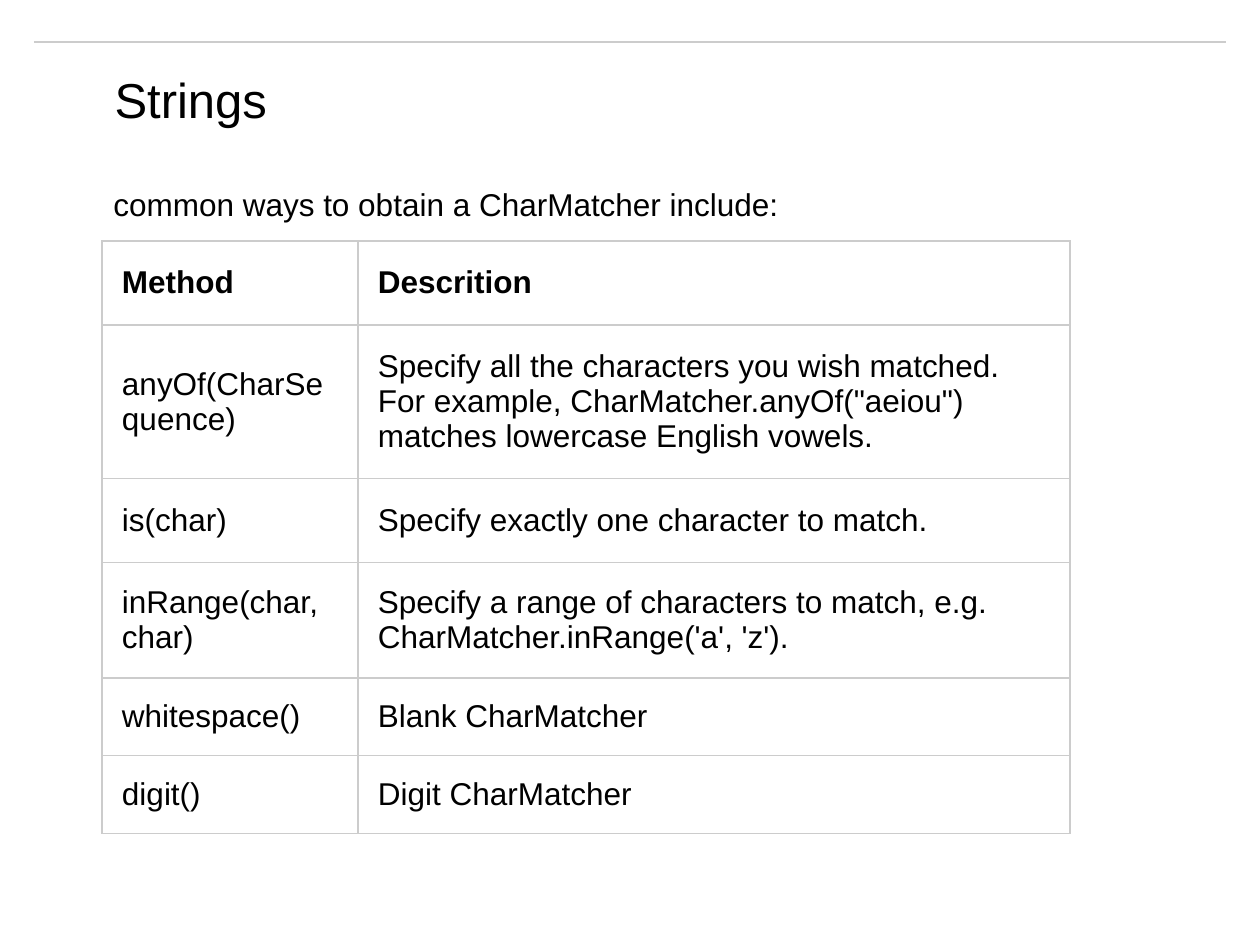
"""Build the Strings slide with its table of CharMatcher methods."""
from lxml import etree
from pptx import Presentation
from pptx.dml.color import RGBColor
from pptx.enum.shapes import MSO_CONNECTOR
from pptx.enum.text import MSO_ANCHOR, MSO_AUTO_SIZE, PP_ALIGN
from pptx.oxml import parse_xml
from pptx.oxml.ns import nsdecls, qn
from pptx.util import Emu, Pt

STRAIGHT = MSO_CONNECTOR.STRAIGHT
MIDDLE, LEFT = MSO_ANCHOR.MIDDLE, PP_ALIGN.LEFT
NO_FIT = MSO_AUTO_SIZE.NONE
BLACK = RGBColor(0x00, 0x00, 0x00)
GRAY = RGBColor(0xCC, 0xCC, 0xCC)
FONT = "Arial"
LINE_WIDTH = Pt(0.75)
CELL_MARGIN = 20
COLUMN_WIDTHS = [256, 712]
ROW_HEIGHTS = [84, 153, 84, 115, 77, 77]
ROWS = [
    ("Method", "Descrition"),
    ("anyOf(CharSequence)",
     "Specify all the characters you wish matched. For example, "
     'CharMatcher.anyOf("aeiou") matches lowercase English vowels.'),
    ("is(char)", "Specify exactly one character to match."),
    ("inRange(char, char)",
     "Specify a range of characters to match, e.g. "
     "CharMatcher.inRange('a', 'z')."),
    ("whitespace()", "Blank CharMatcher"),
    ("digit()", "Digit CharMatcher"),
]


def px(n):
    """Turn pixels at 126 to the inch into EMU."""
    return Emu(round(n * 914400 / 126))


def set_text(tf, text, size, bold=False):
    """Write one left-aligned paragraph."""
    p = tf.paragraphs[0]
    p.text = text
    p.alignment = LEFT
    p.font.name = FONT
    p.font.size = Pt(size)
    p.font.bold = bold
    p.font.color.rgb = BLACK


def add_rule(s, x1, x2, y):
    """Draw a thin horizontal rule."""
    rule = s.shapes.add_connector(STRAIGHT, px(x1), px(y), px(x2), px(y))
    rule.line.color.rgb = GRAY
    rule.line.width = LINE_WIDTH
    etree.SubElement(rule._element.spPr, qn("a:effectLst"))


def set_title(s, text, left, top, width, height):
    """Place and format the title placeholder."""
    sp = s.shapes.title
    sp.left, sp.top, sp.width, sp.height = map(px, (left, top, width, height))
    tf = sp.text_frame
    tf.word_wrap = False
    tf.auto_size = NO_FIT
    tf.vertical_anchor = MIDDLE
    set_text(tf, text, 28)


def add_text(s, text, left, top, width, height):
    """Add a wrapping text box."""
    sp = s.shapes.add_textbox(*map(px, (left, top, width, height)))
    sp.text_frame.word_wrap = True
    set_text(sp.text_frame, text, 18)


def set_borders(cell):
    """Give a cell thin gray borders on all sides."""
    tcPr = cell._tc.get_or_add_tcPr()
    for side in "LRTB":
        tcPr.append(parse_xml(
            f'<a:ln{side} {nsdecls("a")} w="{LINE_WIDTH}"><a:solidFill>'
            f'<a:srgbClr val="{GRAY}"/></a:solidFill></a:ln{side}>'))


def format_cell(cell, text, bold):
    """Fill in one table cell."""
    set_text(cell.text_frame, text, 18, bold)
    cell.vertical_anchor = MIDDLE
    cell.margin_left = cell.margin_right = px(CELL_MARGIN)
    cell.margin_top = cell.margin_bottom = px(CELL_MARGIN)
    set_borders(cell)
    cell.fill.background()


def add_method_table(s, left, top):
    """Add the table of methods and descriptions."""
    width, height = sum(COLUMN_WIDTHS), sum(ROW_HEIGHTS)
    table = s.shapes.add_table(len(ROWS), len(COLUMN_WIDTHS),
                               *map(px, (left, top, width, height))).table
    table.horz_banding = False
    for column, w in zip(table.columns, COLUMN_WIDTHS):
        column.width = px(w)
    for row, h in zip(table.rows, ROW_HEIGHTS):
        row.height = px(h)
    for i, texts in enumerate(ROWS):
        for j, text in enumerate(texts):
            format_cell(table.cell(i, j), text, bold=i == 0)


def main():
    """Build and save the slide."""
    prs = Presentation()
    prs.slide_width, prs.slide_height = px(1260), px(945)
    s = prs.slides.add_slide(prs.slide_layouts[5])
    add_rule(s, 34, 1226, 42)
    set_title(s, "Strings", 102, 63, 180, 72)
    add_text(s, "common ways to obtain a CharMatcher include:",
             101, 179, 969, 50)
    add_method_table(s, 102, 241)
    prs.save("out.pptx")


if __name__ == "__main__":
    main()
